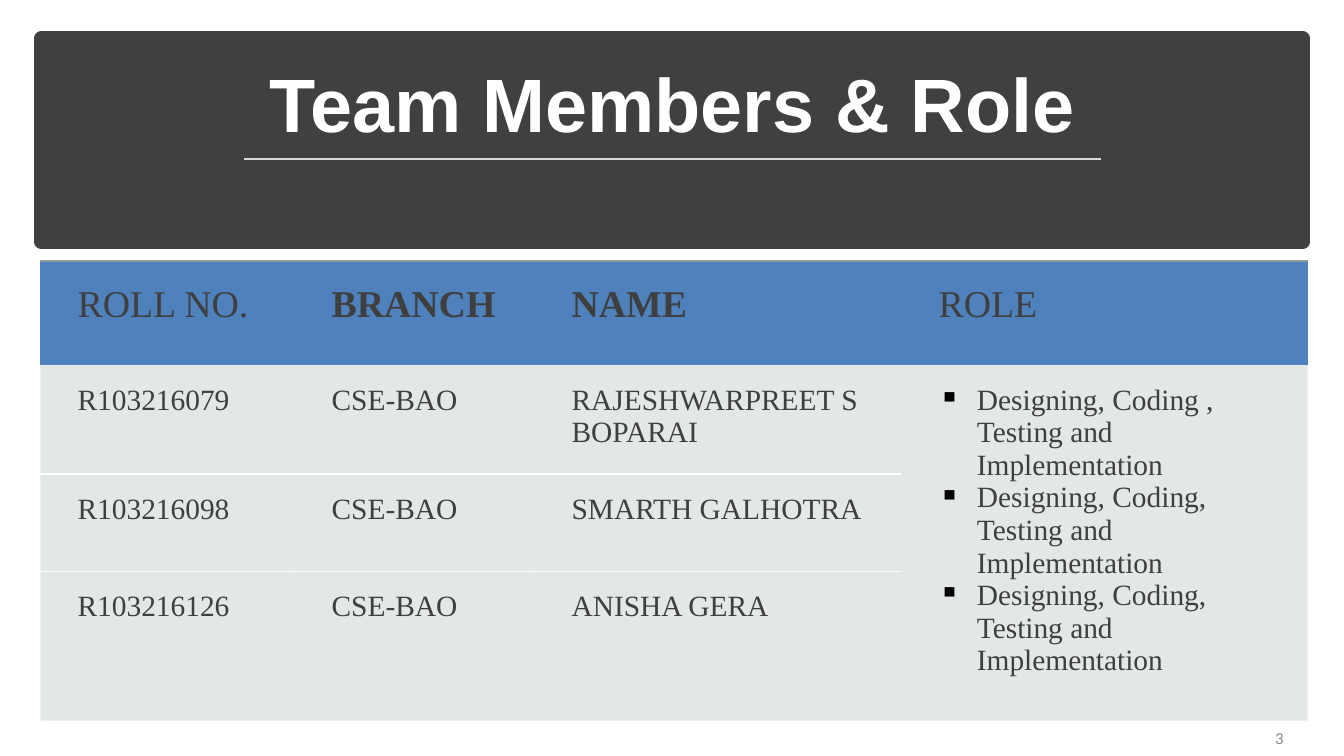
from dataclasses import dataclass
from typing import Any

from lxml.etree import SubElement
from pptx import Presentation
from pptx.dml.color import RGBColor
from pptx.enum.shapes import MSO_CONNECTOR as Connector, MSO_SHAPE as Shape
from pptx.enum.text import MSO_ANCHOR as Anchor, PP_ALIGN as Align
from pptx.oxml import parse_xml
from pptx.oxml.ns import nsdecls, qn
from pptx.util import Inches, Pt

WHITE = RGBColor(0xFF, 0xFF, 0xFF)
BLACK = RGBColor(0x00, 0x00, 0x00)
PANEL = RGBColor(0x40, 0x40, 0x40)
RULE = RGBColor(0xD9, 0xD9, 0xD9)
NUMBER = RGBColor(0x88, 0x88, 0x88)
HEADER = RGBColor(0x4F, 0x81, 0xBD)
BODY = RGBColor(0xB4, 0xBC, 0xBE)
HEADER_EDGE = RGBColor(0x8F, 0x9A, 0x9D)
TABLE_TEXT = RGBColor(0x3F, 0x3F, 0x3F)
PLAIN_TABLE_STYLE = "{2D5ABB26-0587-4C30-8999-92F81FD0307C}"


@dataclass(frozen=True)
class TextStyle:
    name: str
    size: float
    color: RGBColor
    bold: bool = False


@dataclass(frozen=True)
class Label:
    text: str
    box: tuple[float, float, float, float]
    style: TextStyle
    anchor: Anchor
    paragraph_format: dict[str, Any]


@dataclass(frozen=True)
class Column:
    heading: str
    width: float
    bold: bool


LABELS = [
    Label("3", (9.72, 7.12, 3.11, 0.4), TextStyle("Calibri", 12, NUMBER),
          Anchor.MIDDLE, {"alignment": Align.RIGHT}),
    Label("Team Members & Role", (0.58, 0.51, 12.18, 1.02),
          TextStyle("Arial", 54, WHITE, True), Anchor.BOTTOM,
          {"alignment": Align.CENTER, "line_spacing": 0.9}),
]
COLUMNS = [
    Column("ROLL NO.", 2.52, False),
    Column("BRANCH", 2.38, True),
    Column("NAME", 3.64, True),
    Column("ROLE", 4.03, False),
]
ROW_HEIGHTS = [1.03, 0.97, 0.97, 1.32]
MEMBERS = [
    ("R103216079", "CSE-BAO", "RAJESHWARPREET S BOPARAI"),
    ("R103216098", "CSE-BAO", "SMARTH GALHOTRA"),
    ("R103216126", "CSE-BAO", "ANISHA GERA"),
]
ROLES = [
    "Designing, Coding , Testing and Implementation",
    "Designing, Coding, Testing and Implementation",
    "Designing, Coding, Testing and Implementation",
]
BODY_STYLE = TextStyle("Times New Roman", 21, TABLE_TEXT)


def apply_format(target: Any, values: dict[str, Any]) -> None:
    for name, value in values.items():
        setattr(target, name, value)


def add_text(paragraph: Any, text: str, style: TextStyle) -> None:
    run = paragraph.add_run()
    run.text = text
    apply_format(run.font, {"name": style.name, "size": Pt(style.size), "bold": style.bold})
    run.font.color.rgb = style.color


def add_label(slide: Any, label: Label) -> None:
    frame = slide.shapes.add_textbox(*map(Inches, label.box)).text_frame
    apply_format(frame, {"word_wrap": True, "vertical_anchor": label.anchor})
    paragraph = frame.paragraphs[0]
    apply_format(paragraph, label.paragraph_format)
    add_text(paragraph, label.text, label.style)


def add_panel(slide: Any) -> None:
    panel = slide.shapes.add_shape(
        Shape.RECTANGLE, Inches(0.41), Inches(0.38), Inches(12.51), Inches(2.02))
    panel.shadow.inherit = False
    panel.fill.solid()
    panel.fill.fore_color.rgb = PANEL
    panel.line.color.rgb = PANEL
    panel.line.width = Pt(10)


def add_rule(slide: Any) -> None:
    rule = slide.shapes.add_connector(
        Connector.STRAIGHT, Inches(2.42), Inches(1.58), Inches(10.92), Inches(1.58))
    rule.line.color.rgb = RULE
    rule.line.width = Pt(1.75)
    SubElement(rule._element.spPr, qn("a:effectLst"))


def set_alpha(parent: Any, percent: int) -> None:
    color = next(parent.iter(qn("a:srgbClr")))
    SubElement(color, qn("a:alpha")).set("val", str(percent * 1000))


def add_border(cell: Any, side: str, color: RGBColor, alpha: int = 100) -> None:
    border = parse_xml(
        f'<a:ln{side} {nsdecls("a")} w="{Pt(1.5)}"><a:solidFill>'
        f'<a:srgbClr val="{color}"/></a:solidFill></a:ln{side}>')
    set_alpha(border, alpha)
    cell._tc.get_or_add_tcPr().insert(0, border)


def format_cell(cell: Any, fill: RGBColor, margin: float, alpha: int = 100) -> None:
    apply_format(cell, {
        "margin_left": Inches(0.37), "margin_right": Inches(margin),
        "margin_top": Inches(margin), "margin_bottom": Inches(margin),
    })
    cell.fill.solid()
    cell.fill.fore_color.rgb = fill
    set_alpha(cell._tc.tcPr, alpha)


def add_bullet(paragraph: Any) -> None:
    properties = paragraph._p.get_or_add_pPr()
    properties.set("marL", str(Inches(0.38)))
    properties.set("indent", str(Inches(-0.38)))
    color = SubElement(properties, qn("a:buClr"))
    SubElement(color, qn("a:srgbClr")).set("val", str(BLACK))
    SubElement(properties, qn("a:buChar")).set("char", "▪")


def add_team_table(slide: Any) -> None:
    width = sum(column.width for column in COLUMNS)
    table = slide.shapes.add_table(
        len(ROW_HEIGHTS), len(COLUMNS), Inches(0.4), Inches(2.59),
        Inches(width), Inches(sum(ROW_HEIGHTS))).table
    apply_format(table, {"first_row": False, "horz_banding": False})
    table._tbl.tblPr.find(qn("a:tableStyleId")).text = PLAIN_TABLE_STYLE
    for row, height in zip(table.rows, ROW_HEIGHTS):
        row.height = Inches(height)

    for index, column in enumerate(COLUMNS):
        table.columns[index].width = Inches(column.width)
        cell = table.cell(0, index)
        format_cell(cell, HEADER, 0.22)
        add_border(cell, "T", HEADER_EDGE, 60)
        style = TextStyle("Times New Roman", 27, TABLE_TEXT, column.bold)
        add_text(cell.text_frame.paragraphs[0], column.heading, style)

    for row_index, member in enumerate(MEMBERS, start=1):
        for index, text in enumerate(member):
            cell = table.cell(row_index, index)
            format_cell(cell, BODY, 0.19, 35)
            if row_index < len(MEMBERS):
                add_border(cell, "B", WHITE)
            if row_index > 1:
                add_border(cell, "T", WHITE)
            add_text(cell.text_frame.paragraphs[0], text, BODY_STYLE)

    role_column = len(COLUMNS) - 1
    role_cell = table.cell(1, role_column)
    role_cell.merge(table.cell(len(MEMBERS), role_column))
    format_cell(role_cell, BODY, 0.19, 35)
    frame = role_cell.text_frame
    for index, role in enumerate(ROLES):
        paragraph = frame.add_paragraph() if index else frame.paragraphs[0]
        add_bullet(paragraph)
        add_text(paragraph, role, BODY_STYLE)


def main() -> None:
    presentation = Presentation()
    apply_format(presentation, {"slide_width": Inches(13.33), "slide_height": Inches(7.5)})
    slide = presentation.slides.add_slide(presentation.slide_layouts[6])
    add_panel(slide)
    for label in LABELS:
        add_label(slide, label)
    add_rule(slide)
    add_team_table(slide)
    presentation.save("out.pptx")


if __name__ == "__main__":
    main()
